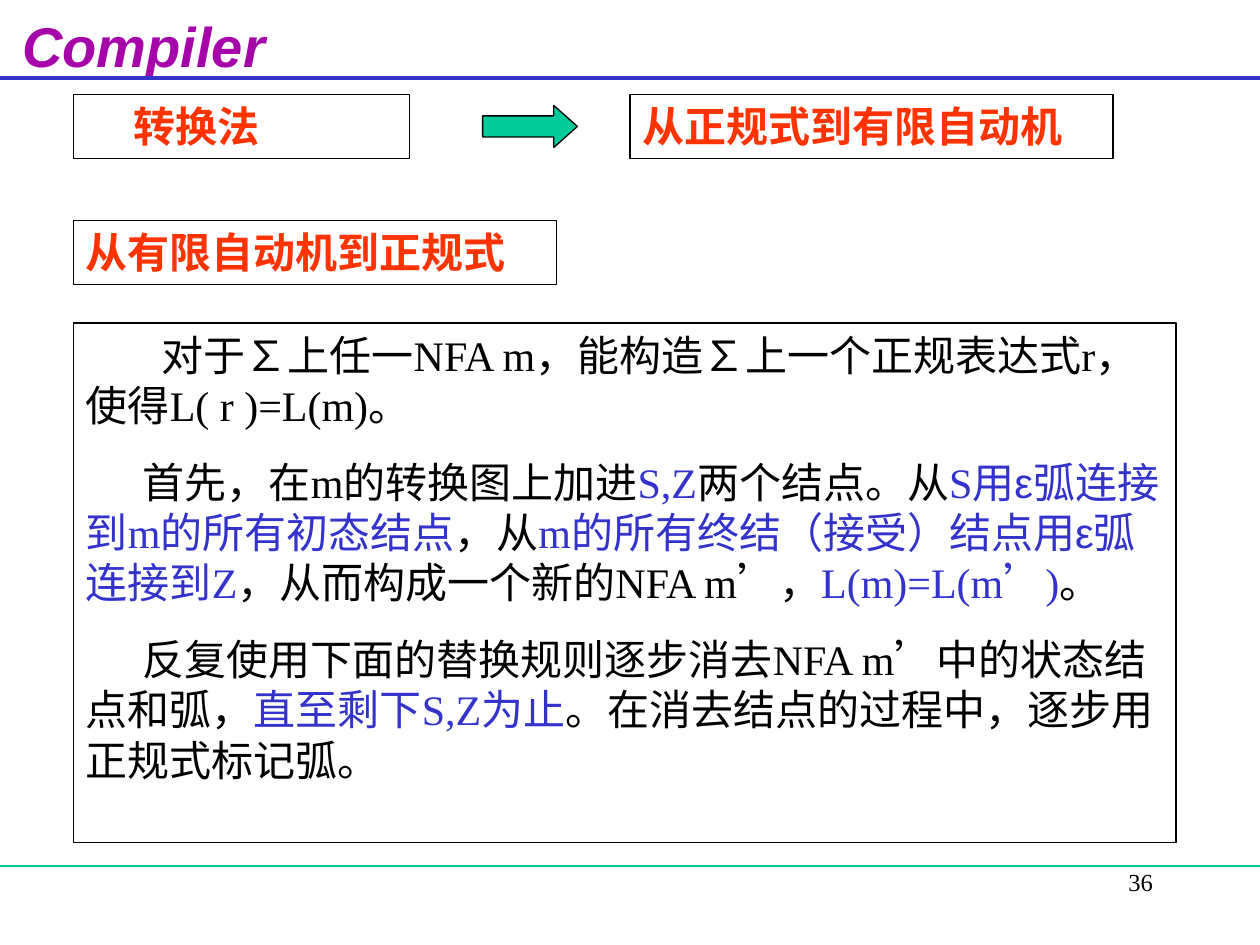
from lxml import etree
from pptx import Presentation
from pptx import util as u
from pptx.dml.color import RGBColor
from pptx.enum import lang, shapes, text
from pptx.oxml.ns import qn

COLORS = {"black": "000000", "white": "FFFFFF", "blue": "3333CC",
          "green": "00CC99", "purple": "A603AB", "red": "FF3300"}
SERIF, SANS = "Times New Roman", "Arial"
LEFT = 1.48  # common left edge of the content, in cm

# Each paragraph: first-line indent in cm, then (words, colour, font) runs
PARAGRAPHS = [
    (1.53, [("对于", "black", SERIF), ("∑", "black", SANS),
            ("上任一NFA m，能构造", "black", SERIF), ("∑", "black", SANS),
            ("上一个正规表达式r，使得L( r )=L(m)。", "black", SERIF)]),
    (1.15, [("首先，在m的转换图上加进", "black", SERIF), ("S,Z", "blue", SERIF),
            ("两个结点。从", "black", SERIF), ("S用", "blue", SERIF),
            ("ε", "blue", SANS), ("弧连接到m的所有初态结点", "blue", SERIF),
            ("，从", "black", SERIF), ("m的所有终结（接受）结点用", "blue", SERIF),
            ("ε", "blue", SANS), ("弧连接到Z", "blue", SERIF),
            ("，从而构成一个新的NFA m’，", "black", SERIF),
            ("L(m)=L(m’)", "blue", SERIF), ("。", "black", SERIF)]),
    (1.15, [("反复使用下面的替换规则逐步消去NFA m’中的状态结点和弧，", "black", SERIF),
            ("直至剩下S,Z为止", "blue", SERIF),
            ("。在消去结点的过程中，逐步用正规式标记弧。", "black", SERIF)]),
]


def rgb(name):
    return RGBColor.from_string(COLORS[name])


def cm_box(box):
    return [u.Cm(length) for length in box]


def add_run(paragraph, words, color, font=SERIF, size=24, bold=False, italic=False):
    run = paragraph.add_run()
    run.text = words
    run.font.name, run.font.size = font, u.Pt(size)
    run.font.bold, run.font.italic = bold, italic
    run.font.color.rgb = rgb(color)
    run.font.language_id = lang.MSO_LANGUAGE_ID.SIMPLIFIED_CHINESE


def indent_first_line(paragraph, indent):
    paragraph.alignment = text.PP_ALIGN.LEFT
    paragraph._p.get_or_add_pPr().set("indent", str(u.Cm(indent)))


def add_outlined(slide, preset, box, fill=None):
    shape = slide.shapes.add_shape(preset, *cm_box(box))
    shape.shadow.inherit = False
    if fill:
        shape.fill.solid()
        shape.fill.fore_color.rgb = rgb(fill)
    else:
        shape.fill.background()
    shape.line.color.rgb = rgb("black")
    shape.line.width = u.Pt(0.75)
    return shape


def add_text_panel(slide, box, fill=None):
    """Add a bordered rectangle and return its text frame, anchored at the top."""
    frame = add_outlined(slide, shapes.MSO_SHAPE.RECTANGLE, box, fill).text_frame
    frame.word_wrap = True
    frame.auto_size = text.MSO_AUTO_SIZE.SHAPE_TO_FIT_TEXT
    frame.vertical_anchor = text.MSO_ANCHOR.TOP
    return frame


def add_label(slide, box, words, indent=0):
    paragraph = add_text_panel(slide, box).paragraphs[0]
    indent_first_line(paragraph, indent)
    add_run(paragraph, words, "red", bold=True)


def add_rule(slide, top, color, width):
    rule = slide.shapes.add_connector(shapes.MSO_CONNECTOR.STRAIGHT,
                                      *cm_box((0, top, 25.4, top)))
    rule.line.color.rgb = rgb(color)
    rule.line.width = u.Pt(width)
    etree.SubElement(rule._element.spPr, qn("a:effectLst"))


def build_header(slide, box):
    title = slide.shapes.title
    title.left, title.top, title.width, title.height = cm_box(box)
    frame = title.text_frame
    frame.word_wrap = True
    frame.margin_left = frame.margin_right = 0
    frame.auto_size = text.MSO_AUTO_SIZE.NONE
    frame.vertical_anchor = text.MSO_ANCHOR.TOP
    paragraph = frame.paragraphs[0]
    paragraph.alignment = text.PP_ALIGN.LEFT
    add_run(paragraph, "Compiler", "purple", SANS, 32, bold=True, italic=True)
    add_rule(slide, 1.57, "blue", 2.25)


def build_footer(slide, box):
    add_rule(slide, 17.46, "green", 0.75)
    frame = slide.shapes.add_textbox(*cm_box(box)).text_frame
    frame.word_wrap = True
    paragraph = frame.paragraphs[0]
    paragraph.alignment = text.PP_ALIGN.RIGHT
    add_run(paragraph, "36", "black", size=14)


def build_method_row(slide, box):
    """Label, arrow and label, across the given box."""
    left, top, width, height = box
    target_width = 9.74
    add_label(slide, (left, top, 6.77, height), "转换法", indent=0.97)
    arrow_height = 0.85
    arrow = add_outlined(slide, shapes.MSO_SHAPE.RIGHT_ARROW,
                         (left + 8.25, top + (height - arrow_height) / 2,
                          1.91, arrow_height), "green")
    arrow.adjustments[0], arrow.adjustments[1] = 0.5, 0.56
    add_label(slide, (left + width - target_width, top, target_width, height),
              "从正规式到有限自动机")


def build_explanation(slide, box):
    frame = add_text_panel(slide, box, "white")
    for number, (indent, runs) in enumerate(PARAGRAPHS):
        paragraph = frame.add_paragraph() if number else frame.paragraphs[0]
        indent_first_line(paragraph, indent)
        if number:
            paragraph.space_before = u.Pt(15)
        for words, color, font in runs:
            add_run(paragraph, words, color, font)


def main():
    deck = Presentation()
    deck.slide_width, deck.slide_height = u.Cm(25.4), u.Cm(19.05)
    slide = deck.slides.add_slide(deck.slide_layouts[5])
    build_header(slide, (0.45, 0.1, 5.3, 1.57))
    build_footer(slide, (18.21, 17.35, 5.28, 1.27))
    build_method_row(slide, (LEFT, 1.91, 20.96, 1.28))
    add_label(slide, (LEFT, 4.45, 9.74, 1.28), "从有限自动机到正规式")
    build_explanation(slide, (LEFT, 6.51, 22.23, 10.47))
    deck.save("out.pptx")


if __name__ == "__main__":
    main()
